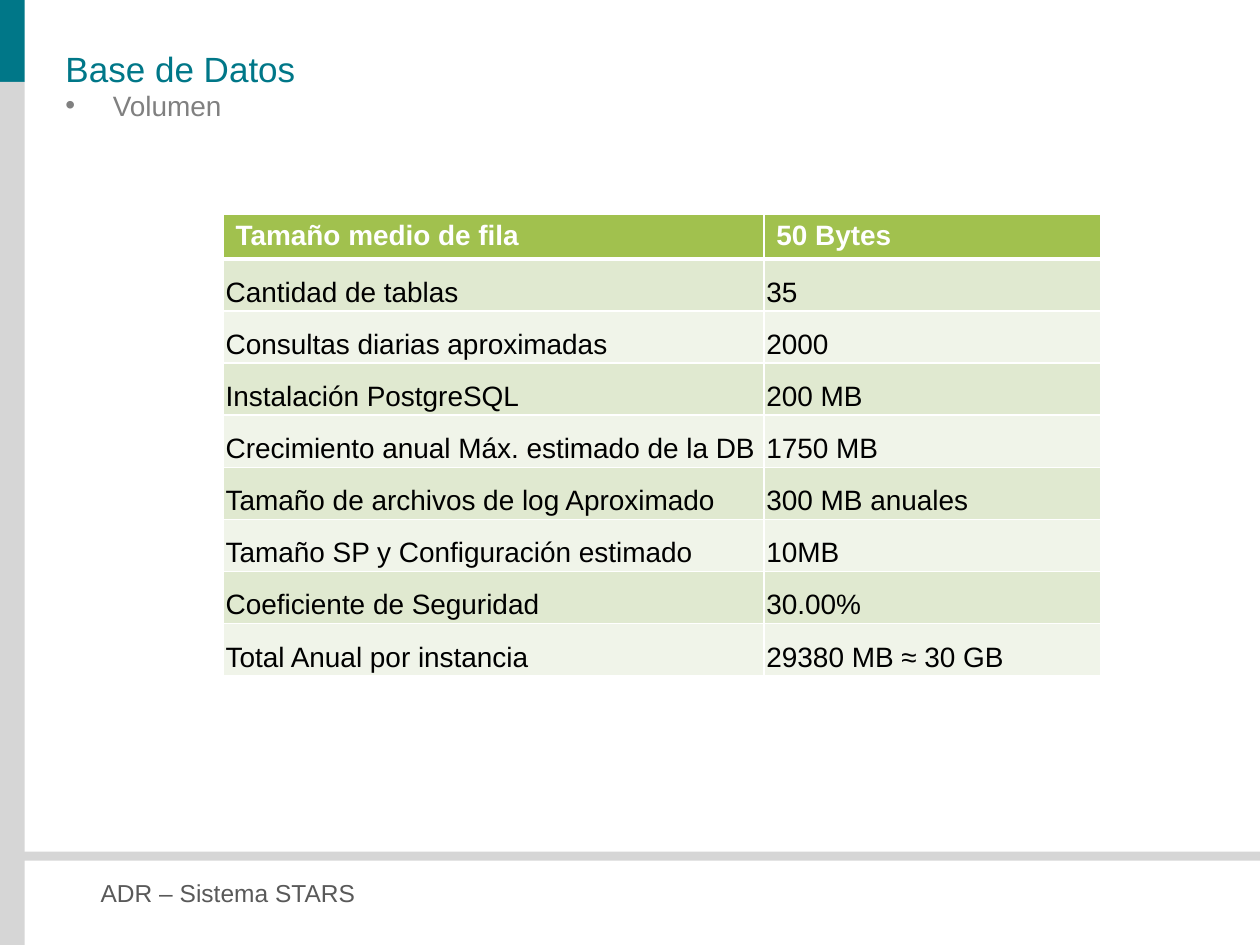
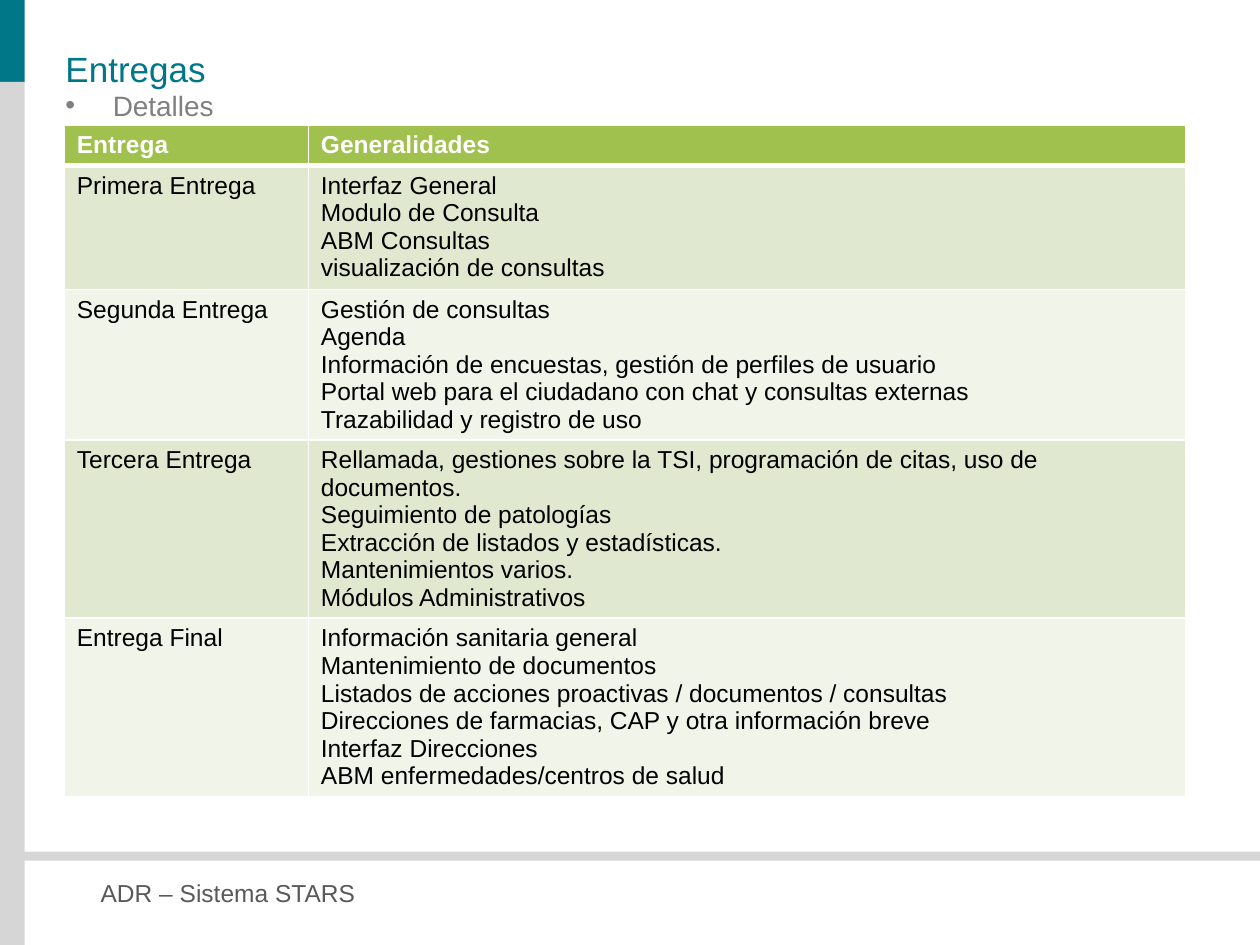
from collections import namedtuple
from dataclasses import dataclass

from lxml import etree
from pptx import Presentation
from pptx import util as u
from pptx.dml.color import RGBColor
from pptx.enum import shapes, text
from pptx.oxml.ns import qn

Box = namedtuple("Box", "left top width height")


@dataclass(frozen=True)
class Theme:
    font: str = "Arial"
    teal: str = "007788"
    band: str = "D6D6D6"
    footer: str = "595959"
    subtitle: str = "808080"
    header: str = "A1C14E"
    stripes: tuple = ("E0E9D0", "F0F4E9")
    white: str = "FFFFFF"
    black: str = "000000"
    title_size: int = 20
    subtitle_size: int = 16
    footer_size: int = 14
    border: int = 1
    header_border: int = 3


@dataclass(frozen=True)
class TableStyle:
    size: int
    body_inset: tuple = (0.25, 0.13)
    line_spacing: float = 1.0
    last_anchor: text.MSO_ANCHOR = text.MSO_ANCHOR.TOP


THEME = Theme()
SLIDE = Box(0, 0, 25.4, 19.05)
HEADING = Box(1.32, 0.97, 23.47, 1.45)
FOOTER = Box(0.43, 17.17, 24.97, 1.88)
FOOTER_TEXT = "ADR – Sistema STARS"

VOLUME_ROWS = [
    ("Tamaño medio de fila", "50 Bytes"),
    ("Cantidad de tablas", "35"),
    ("Consultas diarias aproximadas", "2000"),
    ("Instalación PostgreSQL", "200 MB"),
    ("Crecimiento anual Máx. estimado de la DB", "1750 MB"),
    ("Tamaño de archivos de log Aproximado", "300 MB anuales"),
    ("Tamaño SP y Configuración estimado", "10MB"),
    ("Coeficiente de Seguridad", "30.00%"),
    ("Total Anual por instancia", "29380 MB ≈ 30 GB"),
]

DELIVERY_ROWS = [
    ("Entrega", "Generalidades"),
    ("Primera Entrega", "\n".join([
        "Interfaz General",
        "Modulo de Consulta",
        "ABM Consultas",
        "visualización de consultas",
    ])),
    ("Segunda Entrega", "\n".join([
        "Gestión de consultas",
        "Agenda",
        "Información de encuestas, gestión de perfiles de usuario",
        "Portal web para el ciudadano con chat y consultas externas",
        "Trazabilidad y registro de uso",
    ])),
    ("Tercera Entrega", "\n".join([
        "Rellamada, gestiones sobre la TSI, programación de citas, uso de documentos.",
        "Seguimiento de patologías",
        "Extracción de listados y estadísticas.",
        "Mantenimientos varios.",
        "Módulos Administrativos",
    ])),
    ("Entrega Final", "\n".join([
        "Información sanitaria general",
        "Mantenimiento de documentos",
        "Listados de acciones proactivas / documentos / consultas",
        "Direcciones de farmacias, CAP y otra información breve",
        "Interfaz Direcciones",
        "ABM enfermedades/centros de salud",
    ])),
]


def place(shape, box):
    shape.left, shape.top, shape.width, shape.height = map(u.Cm, box)


def format_runs(text_frame, size, color, bold=False):
    for paragraph in text_frame.paragraphs:
        for run in paragraph.runs:
            run.font.name = THEME.font
            run.font.size = u.Pt(size)
            run.font.bold = bold
            run.font.color.rgb = RGBColor.from_string(color)


def write_plain(shape, content, size, color, anchor=text.MSO_ANCHOR.TOP):
    frame = shape.text_frame
    frame.text = content
    frame.word_wrap = True
    frame.auto_size = text.MSO_AUTO_SIZE.NONE
    frame.vertical_anchor = anchor
    frame.margin_left = frame.margin_right = 0
    frame.margin_top = frame.margin_bottom = 0
    paragraph = frame.paragraphs[0]
    paragraph.alignment = text.PP_ALIGN.LEFT
    paragraph.space_before = u.Pt(0)
    format_runs(frame, size, color)


def add_band(slide, box, color):
    band = slide.shapes.add_shape(shapes.MSO_SHAPE.RECTANGLE, *map(u.Cm, box))
    band.shadow.inherit = False
    band.fill.solid()
    band.fill.fore_color.rgb = RGBColor.from_string(color)
    band.line.fill.background()


def add_side_bar(slide, box):
    width, accent_height = 0.5, 1.65
    add_band(slide, Box(box.left, box.top, width, accent_height), THEME.teal)
    add_band(slide, Box(box.left, box.top + accent_height, width,
                        box.height - accent_height), THEME.band)


def add_footer(slide, box):
    add_band(slide, box._replace(height=0.18), THEME.band)
    label = slide.shapes.add_textbox(
        u.Cm(box.left + 1.6), u.Cm(box.top + 0.53), u.Cm(18.24), u.Cm(0.6))
    write_plain(label, FOOTER_TEXT, THEME.footer_size, THEME.footer)


def fill_heading(slide, box, title, subtitle):
    title_height = 0.81
    place(slide.shapes.title, box._replace(height=title_height))
    write_plain(slide.shapes.title, title, THEME.title_size, THEME.teal,
                text.MSO_ANCHOR.MIDDLE)
    body = slide.placeholders[1]
    place(body, box._replace(top=box.top + title_height,
                             height=box.height - title_height))
    body.text_frame.text = subtitle
    properties = body.text_frame.paragraphs[0]._p.get_or_add_pPr()
    properties.set("marL", "0")
    properties.set("indent", "0")
    etree.SubElement(properties, qn("a:buNone"))
    write_plain(body, subtitle, THEME.subtitle_size, THEME.subtitle)


def set_borders(cell, widths):
    properties = cell._tc.get_or_add_tcPr()
    for position, (side, width) in enumerate(widths.items()):
        line = etree.Element(qn(f"a:ln{side}"), w=str(u.Pt(width)))
        fill = etree.SubElement(line, qn("a:solidFill"))
        etree.SubElement(fill, qn("a:srgbClr"), val=THEME.white)
        properties.insert(position, line)


def format_cell(cell, row, style):
    is_header = row == 0
    inset_x, inset_y = (0.25, 0.13) if is_header else style.body_inset
    cell.margin_left = cell.margin_right = u.Cm(inset_x)
    cell.margin_top = cell.margin_bottom = u.Cm(inset_y)
    cell.fill.solid()
    color = THEME.header if is_header else THEME.stripes[(row - 1) % 2]
    cell.fill.fore_color.rgb = RGBColor.from_string(color)
    for paragraph in cell.text_frame.paragraphs:
        paragraph.line_spacing = 1.0 if is_header else style.line_spacing
    format_runs(cell.text_frame, style.size,
                THEME.white if is_header else THEME.black, is_header)
    set_borders(cell, {
        "L": THEME.border,
        "R": THEME.border,
        "T": THEME.header_border if row == 1 else THEME.border,
        "B": THEME.header_border if is_header else THEME.border,
    })


def add_styled_table(slide, box, rows, first_width, heights, style):
    frame = slide.shapes.add_table(len(rows), 2, *map(u.Cm, box))
    table = frame.table
    table.horz_banding = False
    table.columns[0].width = u.Cm(first_width)
    table.columns[1].width = u.Cm(box.width - first_width)
    for row, (values, height) in enumerate(zip(rows, heights)):
        table.rows[row].height = u.Cm(height)
        for column, value in enumerate(values):
            cell = table.cell(row, column)
            cell.text = value
            cell.vertical_anchor = text.MSO_ANCHOR.TOP
            format_cell(cell, row, style)
    for cell in table.rows[len(rows) - 1].cells:
        cell.vertical_anchor = style.last_anchor


def add_base_slide(presentation, title, subtitle):
    slide = presentation.slides.add_slide(presentation.slide_layouts[1])
    add_side_bar(slide, SLIDE)
    add_footer(slide, FOOTER)
    fill_heading(slide, HEADING, title, subtitle)
    return slide


def add_volume_slide(presentation):
    slide = add_base_slide(presentation, "Base de Datos", "Volumen")
    style = TableStyle(size=16, body_inset=(0.05, 0.05), line_spacing=1.5,
                       last_anchor=text.MSO_ANCHOR.BOTTOM)
    heights = [0.9] + [1.05] * (len(VOLUME_ROWS) - 1)
    add_styled_table(slide, Box(4.5, 4.32, 17.7, sum(heights)), VOLUME_ROWS,
                     10.9, heights, style)


def add_delivery_slide(presentation):
    slide = add_base_slide(presentation, "Entregas", "Detalles")
    heights = [0.77, 2.5, 3.03, 3.58, 3.58]
    add_styled_table(slide, Box(1.3, 2.52, 22.6, sum(heights)), DELIVERY_ROWS,
                     4.92, heights, TableStyle(size=14))


def main():
    presentation = Presentation()
    presentation.slide_width = u.Cm(SLIDE.width)
    presentation.slide_height = u.Cm(SLIDE.height)
    add_volume_slide(presentation)
    add_delivery_slide(presentation)
    presentation.save("out.pptx")


if __name__ == "__main__":
    main()
